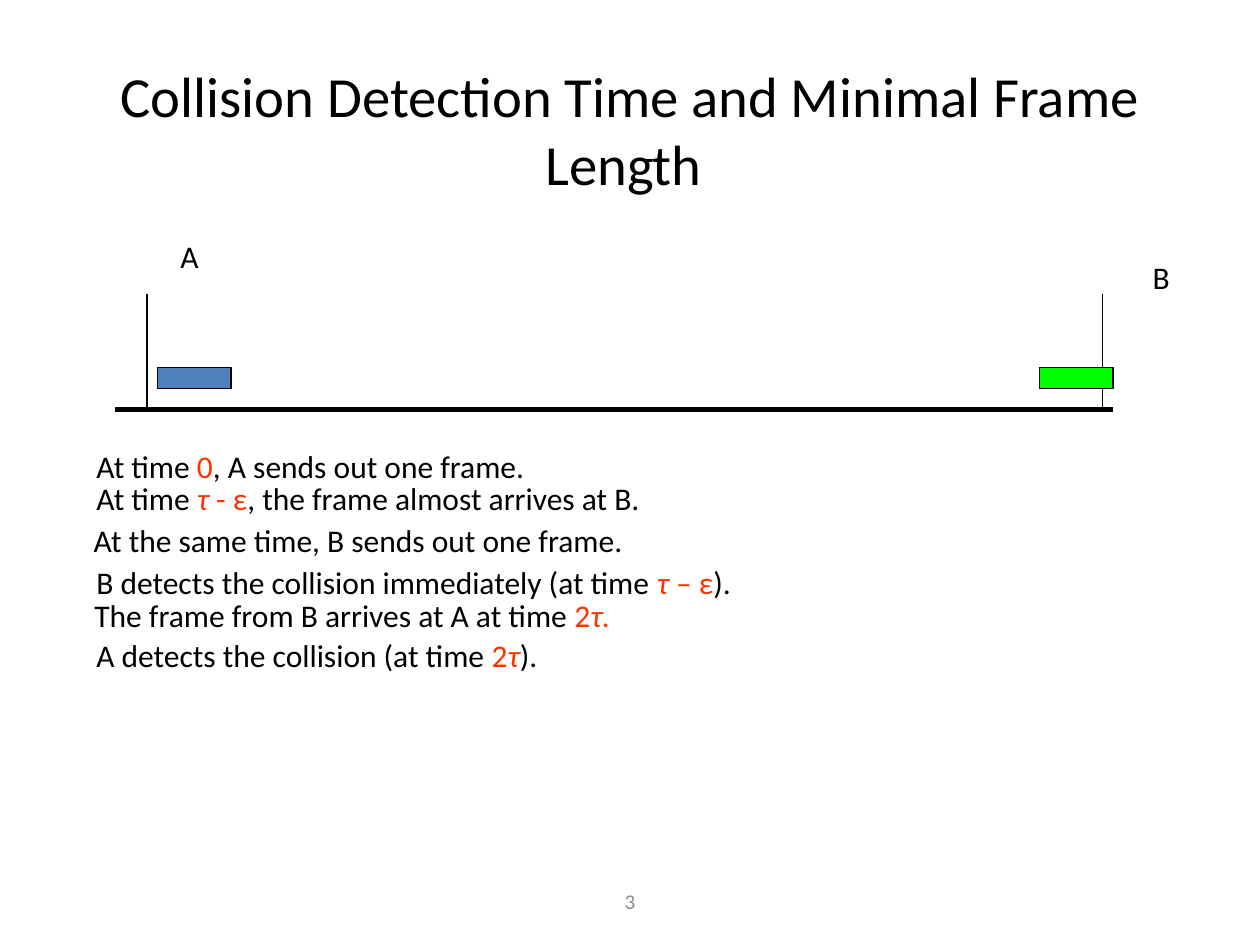
from dataclasses import dataclass

from lxml import etree
from pptx import Presentation
from pptx.dml.color import RGBColor
from pptx.enum.shapes import MSO_CONNECTOR, MSO_SHAPE
from pptx.enum.text import MSO_ANCHOR, MSO_AUTO_SIZE, PP_ALIGN
from pptx.oxml.ns import qn
from pptx.util import Pt

RECTANGLE = MSO_SHAPE.RECTANGLE
STRAIGHT = MSO_CONNECTOR.STRAIGHT
LEFT, CENTER = PP_ALIGN.LEFT, PP_ALIGN.CENTER
TOP, MIDDLE = MSO_ANCHOR.TOP, MSO_ANCHOR.MIDDLE
FIT_SHAPE, NO_FIT = MSO_AUTO_SIZE.SHAPE_TO_FIT_TEXT, MSO_AUTO_SIZE.NONE


@dataclass(frozen=True)
class Theme:
    font: str = "Calibri"
    ink: RGBColor = RGBColor(0x00, 0x00, 0x00)
    accent: RGBColor = RGBColor(0xFF, 0x33, 0x00)
    muted: RGBColor = RGBColor(0x8C, 0x8C, 0x8C)
    frame_a: RGBColor = RGBColor(0x4F, 0x81, 0xBD)
    frame_b: RGBColor = RGBColor(0x00, 0xFF, 0x00)
    title_size: float = 32.4
    body_size: float = 18
    number_size: float = 12
    thin: float = 0.75
    thick: float = 3


THEME = Theme()
LABEL_HEIGHT = 28.8

# Run styles: colour and italic
PLAIN = (THEME.ink, False)
TIME = (THEME.accent, False)
SYMBOL = (THEME.accent, True)
MUTED = (THEME.muted, False)

# Each step: left, top, width, runs
STEPS = [
    (48, 252, 281.5, [("At time ", PLAIN), ("0", TIME),
                      (", A sends out one frame.", PLAIN)]),
    (48, 270, 352, [("At time ", PLAIN), ("τ", SYMBOL), (" - ε", TIME),
                    (", the frame almost arrives at B.", PLAIN)]),
    (46.5, 294, 345.6, [("At the same time, B sends out one frame.", PLAIN)]),
    (48, 318, 406, [("B detects the collision immediately (at time ", PLAIN),
                    ("τ", SYMBOL), (" – ε", TIME), (").", PLAIN)]),
    (46.8, 337, 337.7, [("The frame from B arrives at A at time ", PLAIN),
                        ("2", TIME), ("τ.", SYMBOL)]),
    (48, 360, 287.3, [("A detects the collision (at time ", PLAIN),
                      ("2", TIME), ("τ", SYMBOL), (").", PLAIN)]),
]


def add_text(slide, left, top, width, height, runs, size=THEME.body_size,
             alignment=LEFT, anchor=TOP, wrap=False):
    shape = slide.shapes.add_textbox(Pt(left), Pt(top), Pt(width), Pt(height))
    frame = shape.text_frame
    frame.word_wrap = wrap
    frame.auto_size = NO_FIT if wrap else FIT_SHAPE
    frame.vertical_anchor = anchor
    paragraph = frame.paragraphs[0]
    paragraph.alignment = alignment
    for text, (color, italic) in runs:
        run = paragraph.add_run()
        run.text = text
        run.font.name = THEME.font
        run.font.size = Pt(size)
        run.font.italic = italic
        run.font.color.rgb = color


def add_line(slide, start, end, weight):
    line = slide.shapes.add_connector(STRAIGHT, *map(Pt, start + end))
    line.line.color.rgb = THEME.ink
    line.line.width = Pt(weight)
    etree.SubElement(line._element.spPr, qn("a:effectLst"))


def add_frame(slide, left, color):
    shape = slide.shapes.add_shape(RECTANGLE, Pt(left), Pt(210), Pt(42), Pt(12))
    shape.shadow.inherit = False
    shape.fill.solid()
    shape.fill.fore_color.rgb = color
    shape.line.color.rgb = THEME.ink
    shape.line.width = Pt(THEME.thin)


def main():
    presentation = Presentation()
    presentation.slide_width, presentation.slide_height = Pt(720), Pt(540)
    slide = presentation.slides.add_slide(presentation.slide_layouts[6])

    # Title and slide number
    add_text(slide, 18, 48, 684, 51,
             [("Collision Detection Time and Minimal Frame Length ", PLAIN)],
             THEME.title_size, CENTER, MIDDLE, wrap=True)
    add_text(slide, 246, 500.5, 228, LABEL_HEIGHT, [("3", MUTED)],
             THEME.number_size, CENTER, MIDDLE, wrap=True)

    # Cable with its two stations
    add_line(slide, (66, 234), (636, 234), THEME.thick)
    for station_x in (84, 630):
        add_line(slide, (station_x, 168), (station_x, 234), THEME.thin)
    for name, left, top in (("A", 96, 132), ("B", 651.6, 144)):
        add_text(slide, left, top, 26.5, LABEL_HEIGHT, [(name, PLAIN)])

    # Frames on the cable
    add_frame(slide, 90, THEME.frame_a)
    add_frame(slide, 594, THEME.frame_b)

    # Sequence of events
    for left, top, width, runs in STEPS:
        add_text(slide, left, top, width, LABEL_HEIGHT, runs)

    presentation.save("out.pptx")


if __name__ == "__main__":
    main()
